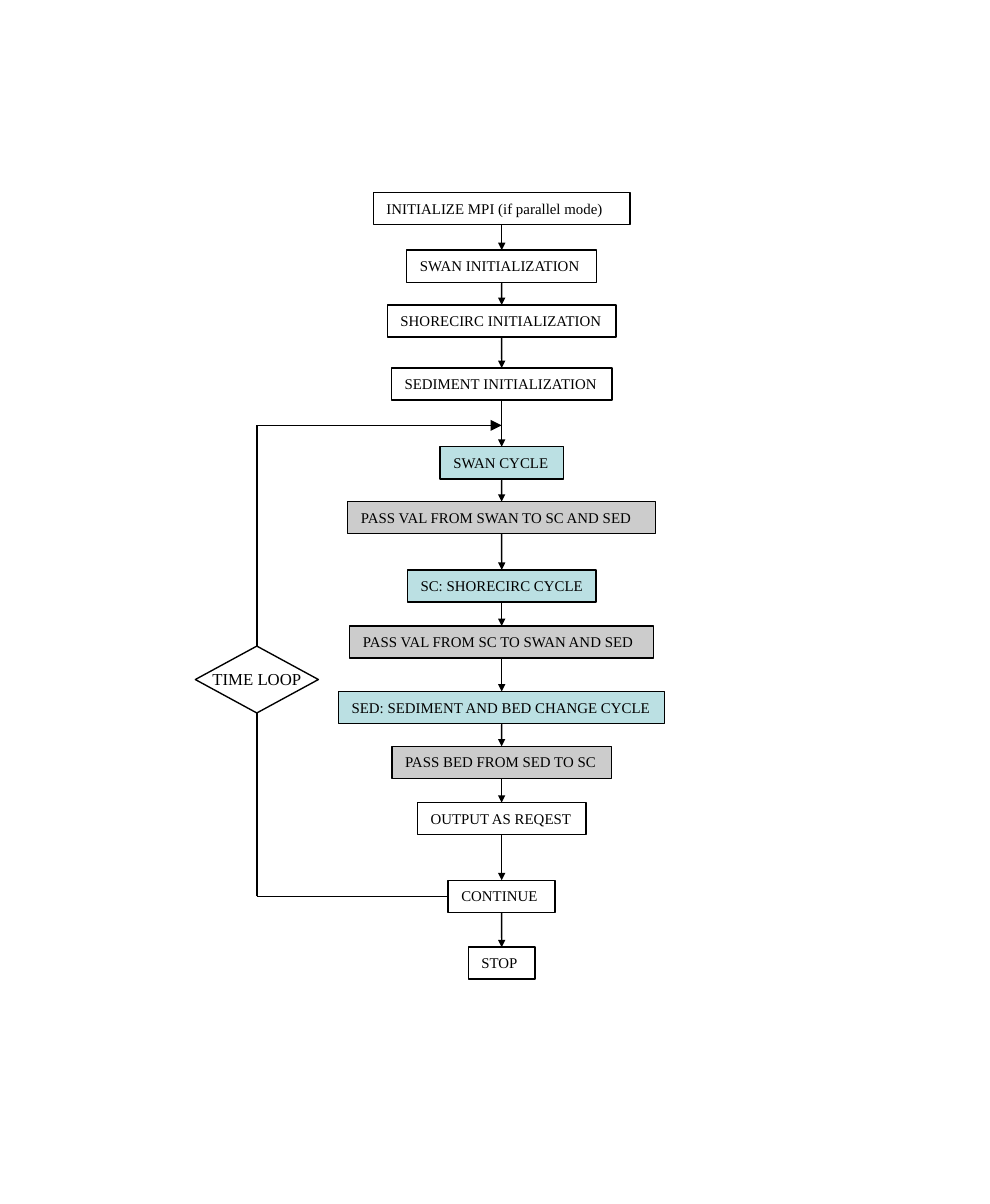
import pptx
import pptx.util
import pptx.dml.color
import pptx.enum.shapes
import pptx.enum.text
import pptx.oxml.ns
from lxml import etree
from pptx.util import Inches

COLORS = {"ink": "000000", "cycle": "BBE0E3", "pass": "CCCCCC"}
FONT = "Times New Roman"
STEP_HEIGHT = 0.24
TOP, LEFT, BOTTOM = 0, 1, 2
STEPS = [
    ("INITIALIZE MPI (if parallel mode)", 0, 1.92, None),
    ("SWAN INITIALIZATION", 0.43, 1.42, None),
    ("SHORECIRC INITIALIZATION", 0.84, 1.71, None),
    ("SEDIMENT INITIALIZATION", 1.31, 1.65, None),
    ("SWAN CYCLE", 1.9, 0.92, "cycle"),
    ("PASS VAL FROM SWAN TO SC AND SED", 2.31, 2.3, "pass"),
    ("SC: SHORECIRC CYCLE", 2.82, 1.41, "cycle"),
    ("PASS VAL FROM SC TO SWAN AND SED", 3.24, 2.27, "pass"),
    ("SED: SEDIMENT AND BED CHANGE CYCLE", 3.73, 2.44, "cycle"),
    ("PASS BED FROM SED TO SC", 4.14, 1.64, "pass"),
    ("OUTPUT AS REQEST", 4.56, 1.26, None),
    ("CONTINUE", 5.14, 0.8, None),
    ("STOP", 5.64, 0.5, None),
]


def rgb(name):
    """Return the named colour."""
    return pptx.dml.color.RGBColor.from_string(COLORS[name])


def write_text(shape, text, size):
    """Write one left-aligned line of text at the top of a shape."""
    frame = shape.text_frame
    frame.text = text
    frame.word_wrap = True
    frame.vertical_anchor = pptx.enum.text.MSO_ANCHOR.TOP
    frame.margin_left = Inches(0.1)
    frame.margin_right = 0
    frame.margin_top = frame.margin_bottom = Inches(0.05)
    paragraph = frame.paragraphs[0]
    paragraph.alignment = pptx.enum.text.PP_ALIGN.LEFT
    font = paragraph.runs[0].font
    font.name = FONT
    font.size = pptx.util.Pt(size)
    font.color.rgb = rgb("ink")


def add_outline(slide, kind, left, top, width, height, fill=None):
    """Add a thinly outlined preset shape."""
    shape = slide.shapes.add_shape(
        kind, Inches(left), Inches(top), Inches(width), Inches(height))
    shape.shadow.inherit = False
    if fill:
        shape.fill.solid()
        shape.fill.fore_color.rgb = rgb(fill)
    else:
        shape.fill.background()
    shape.line.color.rgb = rgb("ink")
    shape.line.width = pptx.util.Pt(0.75)
    return shape


def add_line(slide, start, end, head=None):
    """Join two ends, each a point in inches or a (shape, site) pair."""
    connector = slide.shapes.add_connector(
        pptx.enum.shapes.MSO_CONNECTOR.STRAIGHT, 0, 0, 0, 0)
    if isinstance(start[0], (int, float)):
        connector.begin_x, connector.begin_y = map(Inches, start)
    else:
        connector.begin_connect(*start)
    if isinstance(end[0], (int, float)):
        connector.end_x, connector.end_y = map(Inches, end)
    else:
        connector.end_connect(*end)
    connector.line.color.rgb = rgb("ink")
    connector.line.width = pptx.util.Pt(0.75)
    if head:
        etree.SubElement(connector.line._get_or_add_ln(), pptx.oxml.ns.qn("a:tailEnd"),
                         type="triangle", w=head, len=head)
    etree.SubElement(connector._element.spPr, pptx.oxml.ns.qn("a:effectLst"))


def add_steps(slide, left, top, width):
    """Stack the centred steps, join them with arrows and return them by text."""
    shapes = {}
    previous = None
    for text, offset, step_width, fill in STEPS:
        shape = add_outline(
            slide, pptx.enum.shapes.MSO_SHAPE.RECTANGLE,
            left + (width - step_width) / 2, top + offset,
            step_width, STEP_HEIGHT, fill)
        write_text(shape, text, 8)
        if previous:
            add_line(slide, (previous, BOTTOM), (shape, TOP), "sm")
        shapes[text] = shape
        previous = shape
    return shapes


def add_time_loop(slide, left, top, width, height, last_step):
    """Lead the flow from the last step through the diamond back to the column."""
    diamond_width, diamond_height, diamond_top = 0.92, 0.5, top + 1.65
    middle = left + diamond_width / 2
    diamond = add_outline(slide, pptx.enum.shapes.MSO_SHAPE.DIAMOND,
                          left, diamond_top, diamond_width, diamond_height)
    label = slide.shapes.add_textbox(
        Inches(left + 0.03), Inches(diamond_top + 0.12), Inches(0.86), Inches(0.25))
    write_text(label, "TIME LOOP", 9)
    upper_corner = (middle, top)
    lower_corner = (middle, top + height)
    add_line(slide, (last_step, LEFT), lower_corner)
    add_line(slide, lower_corner, (diamond, BOTTOM))
    add_line(slide, (diamond, TOP), upper_corner)
    add_line(slide, upper_corner, (left + width, top), "med")


def main():
    """Build the flow chart slide."""
    presentation = pptx.Presentation()
    presentation.slide_width = Inches(7.4)
    presentation.slide_height = Inches(9)
    slide = presentation.slides.add_slide(presentation.slide_layouts[6])
    steps = add_steps(slide, 2.53, 1.44, 2.44)
    add_time_loop(slide, 1.46, 3.18, 2.29, 3.52, steps["CONTINUE"])
    presentation.save("out.pptx")


if __name__ == "__main__":
    main()
